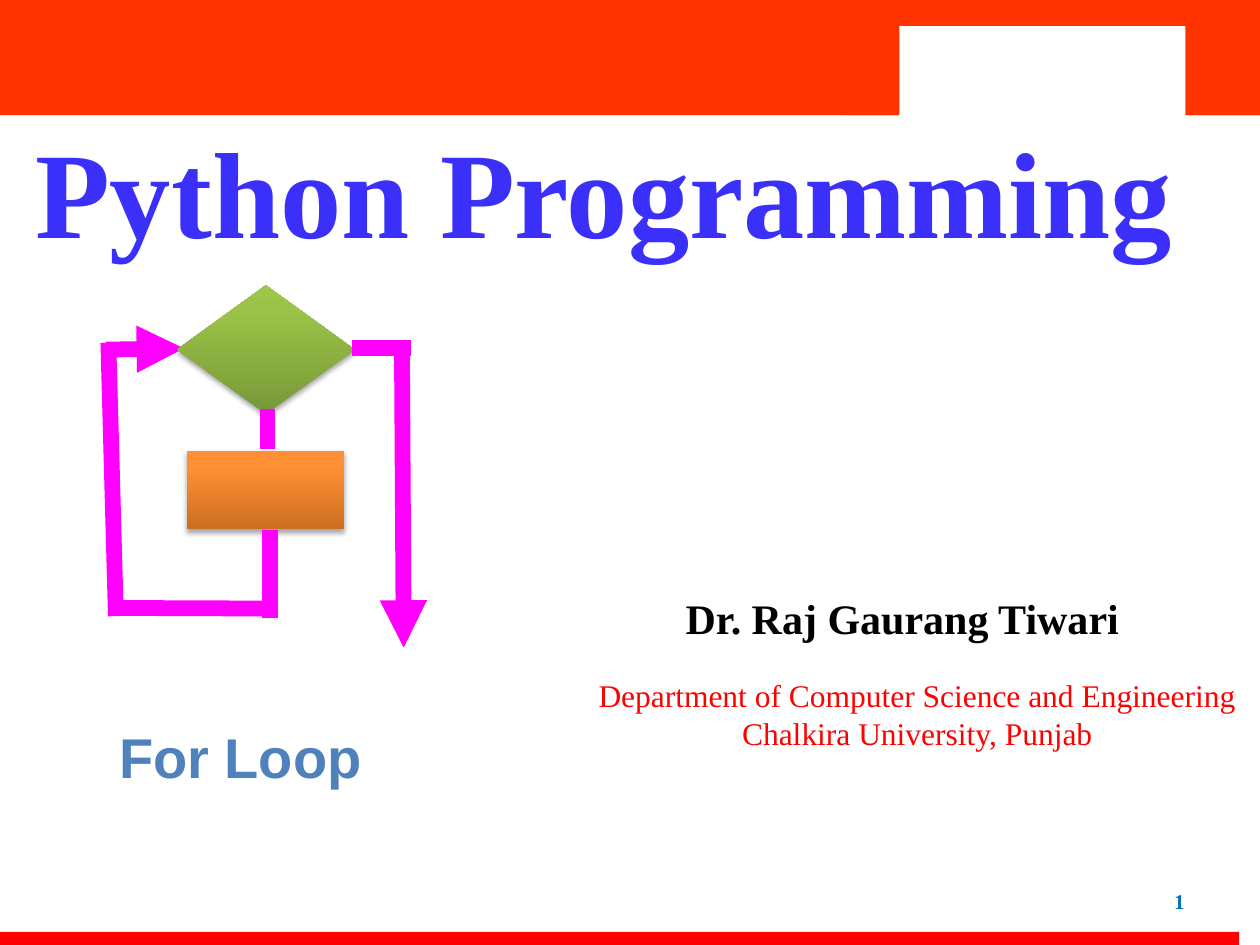
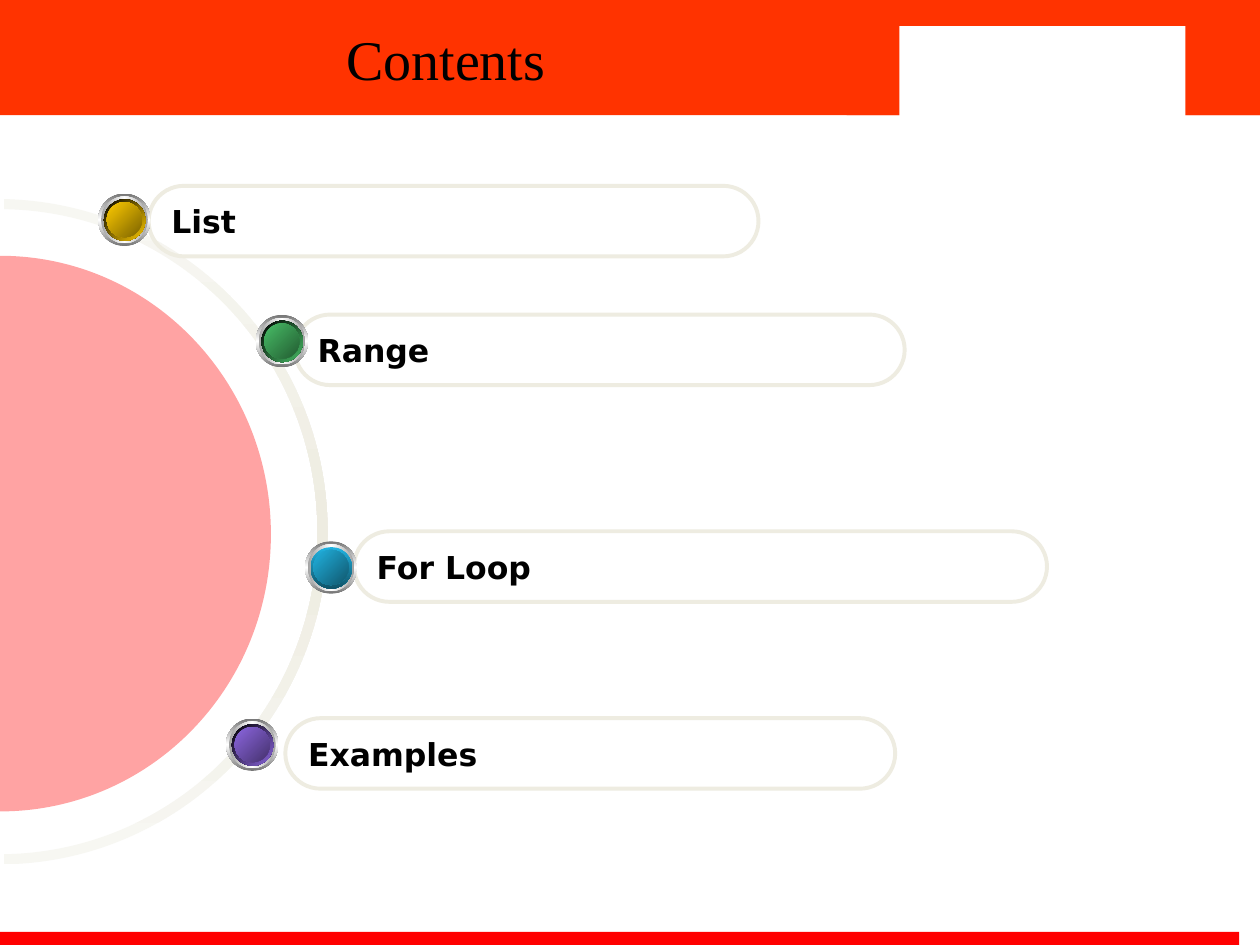
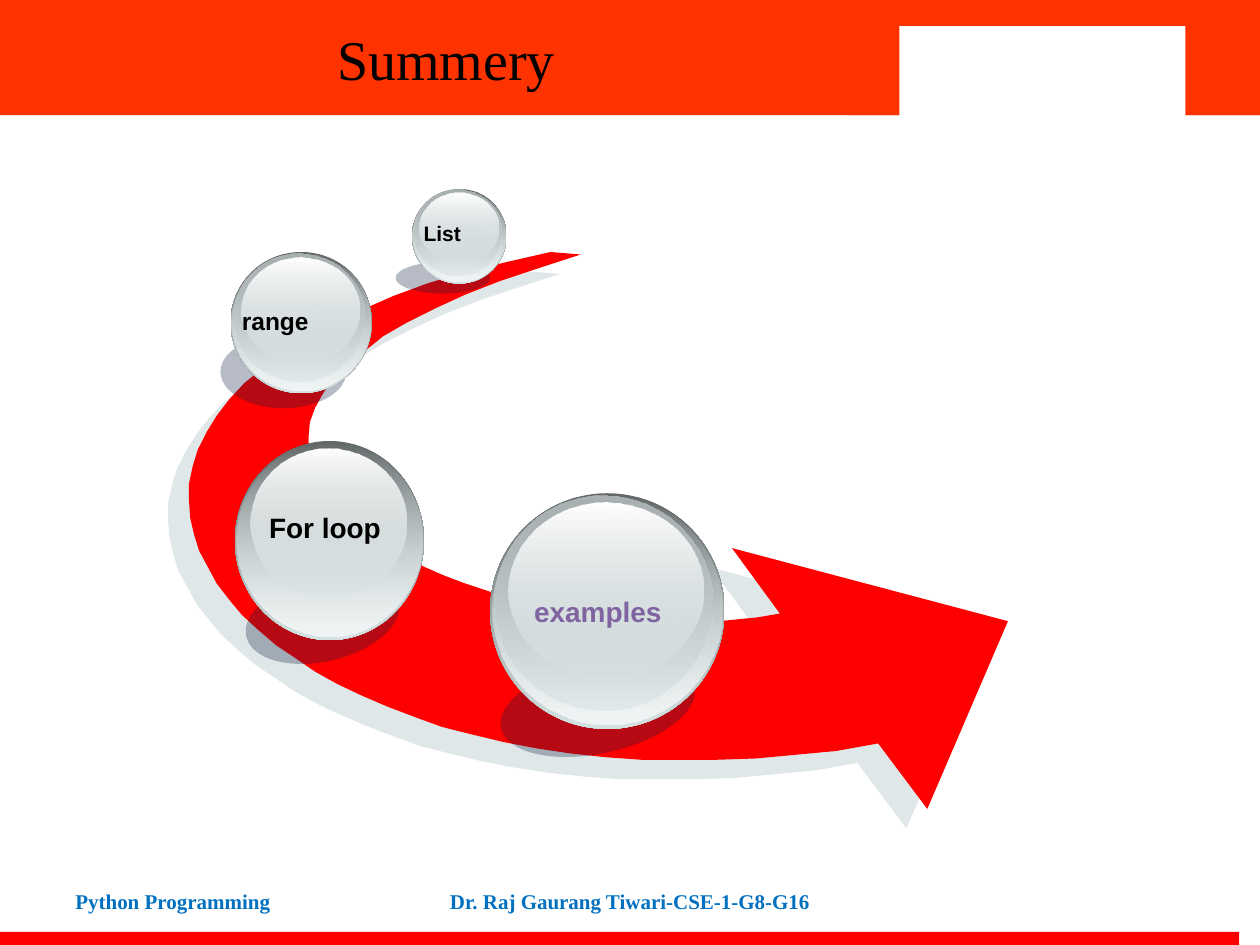
from lxml import etree
from pptx import Presentation
from pptx.dml.color import RGBColor
from pptx.enum.shapes import MSO_CONNECTOR, MSO_SHAPE
from pptx.enum.text import MSO_ANCHOR, PP_ALIGN
from pptx.oxml.ns import qn
from pptx.util import Inches, Pt

RECT, ROUND, OVAL = MSO_SHAPE.RECTANGLE, MSO_SHAPE.ROUNDED_RECTANGLE, MSO_SHAPE.OVAL
DECISION = MSO_SHAPE.FLOWCHART_DECISION
STRAIGHT = MSO_CONNECTOR.STRAIGHT
LEFT, CENTER, RIGHT = PP_ALIGN.LEFT, PP_ALIGN.CENTER, PP_ALIGN.RIGHT
TOP, MIDDLE = MSO_ANCHOR.TOP, MSO_ANCHOR.MIDDLE
SERIF, SANS, LABEL = "Times New Roman", "Arial", "DejaVu Sans"

COLOURS = {
    "band": "FF3300", "red": "FF0000", "white": "FFFFFF", "black": "000000",
    "headline": "3A30FA", "footer": "0070C0", "topic": "4F81BD", "flow": "FF00FF",
    "green dark": "779737", "green mid": "9BC348", "green light": "9DC746",
    "orange dark": "CC6E20", "orange mid": "FF9034", "orange light": "FF9136",
    "ring": "EEECE1", "ring pale": "F7F7F2", "steel": "767676", "silver": "A2A2A2",
    "yellow": "FFCC00", "yellow deep": "7C6300", "leaf": "48BE67", "leaf deep": "235C32",
    "blue": "21B3E1", "blue edge": "0F5368", "blue deep": "10576D",
    "violet": "8D67E1", "violet deep": "45326D", "purple": "8064A2",
    "glass dark": "636869", "glass": "D6E1E2", "glass pale": "F1F5F5",
    "glass grey": "AAB2B3", "bubble shade": "0F2145", "arrow shade": "C1D1D3",
}

# The grid: 100 columns by 75 rows of square cells
deck = Presentation()
deck.slide_width, deck.slide_height = Inches(10), Inches(7.5)
CELL = deck.slide_width / 100


def add_part(page, kind, box, stops=(), angle=0, shadow=None):
    """Add a preset, an outline or, without kind, a text box.

    An outline lists points (x, y) and curves (two handles and an end, six numbers).
    Stops are (position, colour, opacity); shadow is (colour, opacity, blur, distance, angle).
    """
    if kind is None:
        return page.shapes.add_textbox(*[round(v * CELL) for v in box])
    if isinstance(kind, list):
        points = [(step[i] * CELL, step[i + 1] * CELL)
                  for step in kind for i in range(0, len(step), 2)]
        builder = page.shapes.build_freeform(*points[0], scale=1.0)
        builder.add_line_segments(points[1:], close=True)
        shape = builder.convert_to_shape()
        segments = iter(list(shape._element.spPr.iter(qn("a:lnTo"))))
        for step in kind[1:]:
            segment = next(segments)
            if len(step) == 6:
                segment.tag = qn("a:cubicBezTo")
                for _ in range(2):
                    following = next(segments)
                    segment.append(following[0])
                    following.getparent().remove(following)
    else:
        shape = page.shapes.add_shape(kind, *[round(v * CELL) for v in box])
    shape.shadow.inherit = False
    shape.line.fill.background()
    properties = shape._element.spPr
    if not stops:
        shape.fill.background()
    elif len(stops) == 1:
        shape.fill.solid()
        shape.fill.fore_color.rgb = RGBColor.from_string(COLOURS[stops[0][1]])
        if stops[0][2] < 100:
            colour = properties.find(qn("a:solidFill"))[0]
            etree.SubElement(colour, qn("a:alpha"), val=str(stops[0][2] * 1000))
    else:
        shape.fill.gradient()
        gradient = properties.find(qn("a:gradFill"))
        for child in list(gradient):
            gradient.remove(child)
        stop_list = etree.SubElement(gradient, qn("a:gsLst"))
        for position, name, opacity in stops:
            stop = etree.SubElement(stop_list, qn("a:gs"), pos=str(position * 1000))
            colour = etree.SubElement(stop, qn("a:srgbClr"), val=COLOURS[name])
            if opacity < 100:
                etree.SubElement(colour, qn("a:alpha"), val=str(opacity * 1000))
        etree.SubElement(gradient, qn("a:lin"), ang=str(angle * 60000), scaled="0")
    if shadow:
        name, opacity, blur, distance, direction = shadow
        cast = etree.SubElement(
            properties.find(qn("a:effectLst")), qn("a:outerShdw"), blurRad=str(Pt(blur)),
            dist=str(Pt(distance)), dir=str(direction * 60000), algn="ctr", rotWithShape="0")
        colour = etree.SubElement(cast, qn("a:srgbClr"), val=COLOURS[name])
        etree.SubElement(colour, qn("a:alpha"), val=str(opacity * 1000))
    return shape


def write(shape, lines, size, font, colour, bold=True, align=CENTER, anchor=TOP, wrap=True):
    frame = shape.text_frame
    frame.word_wrap = wrap
    frame.vertical_anchor = anchor
    for index, line in enumerate(lines):
        para = frame.add_paragraph() if index else frame.paragraphs[0]
        para.alignment = align
        span = para.add_run()
        span.text = line
        span.font.size, span.font.name, span.font.bold = Pt(size), font, bold
        span.font.color.rgb = RGBColor.from_string(COLOURS[colour])
    return frame


# Shared by all slides: bands, white panel and title
pages = []
for title in (None, "Contents", "Summery"):
    page = deck.slides.add_slide(deck.slide_layouts[6])
    for box, name in (((0, 0, 100, 9.15), "band"), ((-1.65, 73.95, 100, 2.2), "red"),
                      ((67.2, 0, 32.8, 9.15), "band"), ((71.38, 2.08, 22.7, 7.5), "white")):
        add_part(page, RECT, box, [(0, name, 100)])
    if title:
        write(add_part(page, None, (0, 0, 70.8, 9.2)), [title], 32, SERIF, "black",
              bold=False, anchor=MIDDLE)
    pages.append(page)
cover, contents, summary = pages

# Footers
for page, box, words, align in (
        (cover, (71.67, 69.5, 23.33, 4), "1", RIGHT),
        (summary, (5, 69.5, 23.3, 4), "Python Programming", LEFT),
        (summary, (34.17, 69.5, 31.67, 4), "Dr. Raj Gaurang Tiwari-CSE-1-G8-G16", CENTER)):
    write(add_part(page, None, box), [words], 12, SERIF, "footer", align=align, anchor=MIDDLE)

# Cover: headline, lecturer, department
headline = write(add_part(cover, None, (0, -7.05, 95.83, 44.2)), ["Python Programming"], 70,
                 SERIF, "headline", anchor=MIDDLE)
headline.margin_top = round(0.4 * CELL)
lecturer = write(add_part(cover, None, (41.4, 44.5, 52.1, 6.3)), ["Dr. Raj Gaurang Tiwari"],
                 24, SERIF, "black")
lecturer.margin_left = round(9.3 * CELL)
lecturer.paragraphs[0].line_spacing = 1.5
write(add_part(cover, None, (39.05, 53.14, 67.5, 7.1)),
      ["Department of Computer Science and Engineering", "Chalkira University, Punjab"],
      18, SERIF, "red", bold=False)
write(add_part(cover, None, (5.45, 56.85, 27.3, 6.4)), ["For Loop"], 32, SANS, "topic")

# Cover: loop flowchart, nodes after the incoming arrow
flow_lines = [
    (8.4, 27.75, 14.6, 27.65, True), (27.95, 27.6, 32.65, 27.6, False),
    (31.9, 27.2, 32.04, 51.4, True), (21.24, 32.45, 21.24, 35.6, False),
    (21.9, 48.3, 8.6, 48.25, False), (8.6, 27.2, 9.2, 48.9, False),
    (21.42, 42.04, 21.42, 49.05, False),
]
for index, (*ends, arrow) in enumerate(flow_lines):
    line = cover.shapes.add_connector(STRAIGHT, *[round(v * CELL) for v in ends])
    line.line.width = Pt(9)
    line.line.color.rgb = RGBColor.from_string(COLOURS["flow"])
    if arrow:
        etree.SubElement(line.line._get_or_add_ln(), qn("a:tailEnd"), type="triangle")
    etree.SubElement(line._element.spPr, qn("a:effectLst"))
    if index == 0:
        for kind, box, hue in ((DECISION, (14.05, 22.65, 14.1, 10.2), "green"),
                               (RECT, (14.84, 35.78, 12.5, 6.25), "orange")):
            add_part(cover, kind, box,
                     [(0, hue + " dark", 100), (80, hue + " mid", 100), (100, hue + " light", 100)],
                     270, ("black", 35, 3.1, 1.8, 90))

# Contents: half ring and half disc
ring = [(0.3, 16.6), (14.1, 16.8, 25.2, 28.2, 25.2, 42.2), (25.2, 56.2, 14.1, 67.6, 0.3, 67.8),
        (0.3, 68.6), (14.5, 68.4, 26, 56.6, 26, 42.2), (26, 27.8, 14.5, 16.1, 0.3, 15.8)]
disc = [(0, 20.3), (11.9, 20.3, 21.5, 30.2, 21.5, 42.4), (21.5, 54.6, 11.9, 64.4, 0, 64.4)]
add_part(contents, ring, None,
         [(0, "ring pale", 100), (50, "ring", 100), (100, "ring pale", 100)], 90)
add_part(contents, disc, None, [(0, "red", 36)])

# Contents: labels, then their buttons
topics = [
    ("Examples", (22.65, 57, 48.4), (17.95, 57.03), "violet", "black", 45),
    ("For Loop", (28.1, 42.17, 55), (24.2, 42.97), "blue", "blue edge", 90),
    ("Range", (23.4, 24.97, 48.4), (20.3, 25), "leaf", "black", 45),
    ("List", (11.8, 14.75, 48.4), (7.8, 15.37), "yellow", "black", 45),
]
for words, (left, top, width), *_ in topics:
    pill = add_part(contents, ROUND, (left, top, width, 5.6))
    pill.adjustments[0] = 0.5
    pill.line.color.rgb = RGBColor.from_string(COLOURS["ring"])
    pill.line.width = Pt(2.25)
    write(pill, [words], 18, LABEL, "black", align=LEFT, anchor=MIDDLE)
for _, _, (left, top), hue, edge, edge_angle in reversed(topics):
    rim = (edge, hue) if edge == "black" else (hue, edge)
    for inset, size, stops, angle in (
            (0, 4.15, ("steel", "white", "steel"), 90),
            (0.23, 3.7, ("silver", "white", "silver"), 0),
            (0.45, 3.3, rim, edge_angle),
            (0.67, 2.8, (hue, hue + " deep"), 45)):
        last = len(stops) - 1
        add_part(contents, OVAL, (left + inset, top + inset, size, size),
                 [(100 * i // last, name, 100) for i, name in enumerate(stops)], angle)

# Summary: curved arrow, along its outer edge, the head, then back along its inner edge
outer_edge = [
    (43.7, 20), (40.2, 20.8), (36.9, 21.6), (33.9, 22.5), (31.2, 23.5), (28.7, 24.6),
    (26.4, 25.6), (24.4, 26.8), (22.5, 27.9), (20.9, 29.2), (19.4, 30.4), (18.2, 31.7),
    (17.2, 33), (16.4, 34.3), (15.7, 35.7), (15.3, 37), (15, 38.4), (15, 39.7),
    (15.1, 41.1), (15.4, 42.4), (15.8, 43.7), (16.5, 45), (17.2, 46.3), (18.2, 47.6),
    (19.2, 48.8), (20.5, 50), (21.9, 51.2), (23.4, 52.2), (25, 53.3), (26.8, 54.3),
    (28.7, 55.2), (30.8, 56.1), (32.9, 56.9), (35.1, 57.7), (37.5, 58.3), (40, 58.9),
    (42.6, 59.4), (45.3, 59.8), (48.1, 60.1), (50.9, 60.3), (53.9, 60.3), (56.9, 60.3),
    (60, 60.2), (63.2, 59.9), (66.4, 59.6), (69.7, 59),
]
head = [(73.6, 64.2), (80, 49.3), (58.1, 43.5), (61.9, 48.7)]
inner_edge = [
    (60.1, 49), (58.1, 49.2), (56.2, 49.4), (54.2, 49.4), (52.2, 49.3), (50.2, 49.2),
    (48.2, 49), (46.3, 48.7), (44.3, 48.4), (42.4, 48), (40.5, 47.5), (38.7, 46.9),
    (36.9, 46.3), (35.3, 45.7), (33.7, 45), (32.1, 44.2), (30.8, 43.4), (29.5, 42.5),
    (28.3, 41.7), (27.3, 40.7), (26.4, 39.8), (25.6, 38.8), (25.1, 37.7), (24.7, 36.7),
    (24.5, 35.7), (24.5, 34.6), (24.6, 33.5), (25, 32.4), (25.6, 31.3), (26.4, 30.1),
    (27.5, 29), (28.9, 27.9), (30.4, 26.7), (32.3, 25.6), (34.5, 24.5), (36.9, 23.4),
    (39.7, 22.3), (42.7, 21.3), (46.1, 20.2),
]
add_part(summary, outer_edge + head + inner_edge, None, [(0, "red", 100)],
         shadow=("arrow shade", 50, 0, 16.3, 137))

# Summary: glass bubbles, layers as shares of the bubble's size
layers = [
    (0, 0, 1, 1, [(0, "glass dark", 100), (100, "glass", 100)]),
    (0.01, 0.01, 0.98, 0.97, [(0, "glass", 0), (100, "glass pale", 100)]),
    (0.02, 0.01, 0.93, 0.91, [(0, "glass grey", 100), (100, "glass", 48)]),
    (0.08, 0.04, 0.83, 0.74, [(0, "white", 100), (100, "glass", 38)]),
]
bubbles = [
    ("examples", 16, "purple", (38.9, 39.15, 18.6, 18.7), (39.6, 52.5, 15.7, 7.3), -12.1,
     (39.15, 46.7, 16.6, 3.7), layers),
    ("For loop", 16, "black", (18.65, 35, 15, 15.8), (19.4, 45.8, 12.4, 6.7), -12.9,
     (18.3, 40, 15, 3.7), layers[:2] + layers[3:]),
    ("range", 14, "black", (18.3, 20, 11.2, 11.2), (17.5, 26.6, 10, 5.8), 0,
     (18.2, 23.8, 7.3, 3.4), layers),
    ("List", 12, "black", (32.7, 15, 7.5, 7.5), (31.4, 20.8, 7.5, 2.5), 0,
     (32.6, 17, 5, 3), layers),
]
for words, size, colour, bubble, shade, tilt, label, glass in bubbles:
    add_part(summary, OVAL, shade, [(0, "bubble shade", 30)]).rotation = tilt
    left, top, width, height = bubble
    for x, y, across, down, stops in glass:
        add_part(summary, OVAL, (left + x * width, top + y * height,
                                 across * width, down * height), stops, 90)
    write(add_part(summary, None, label), [words], size, SANS, colour, wrap=False)

deck.save("out.pptx")
